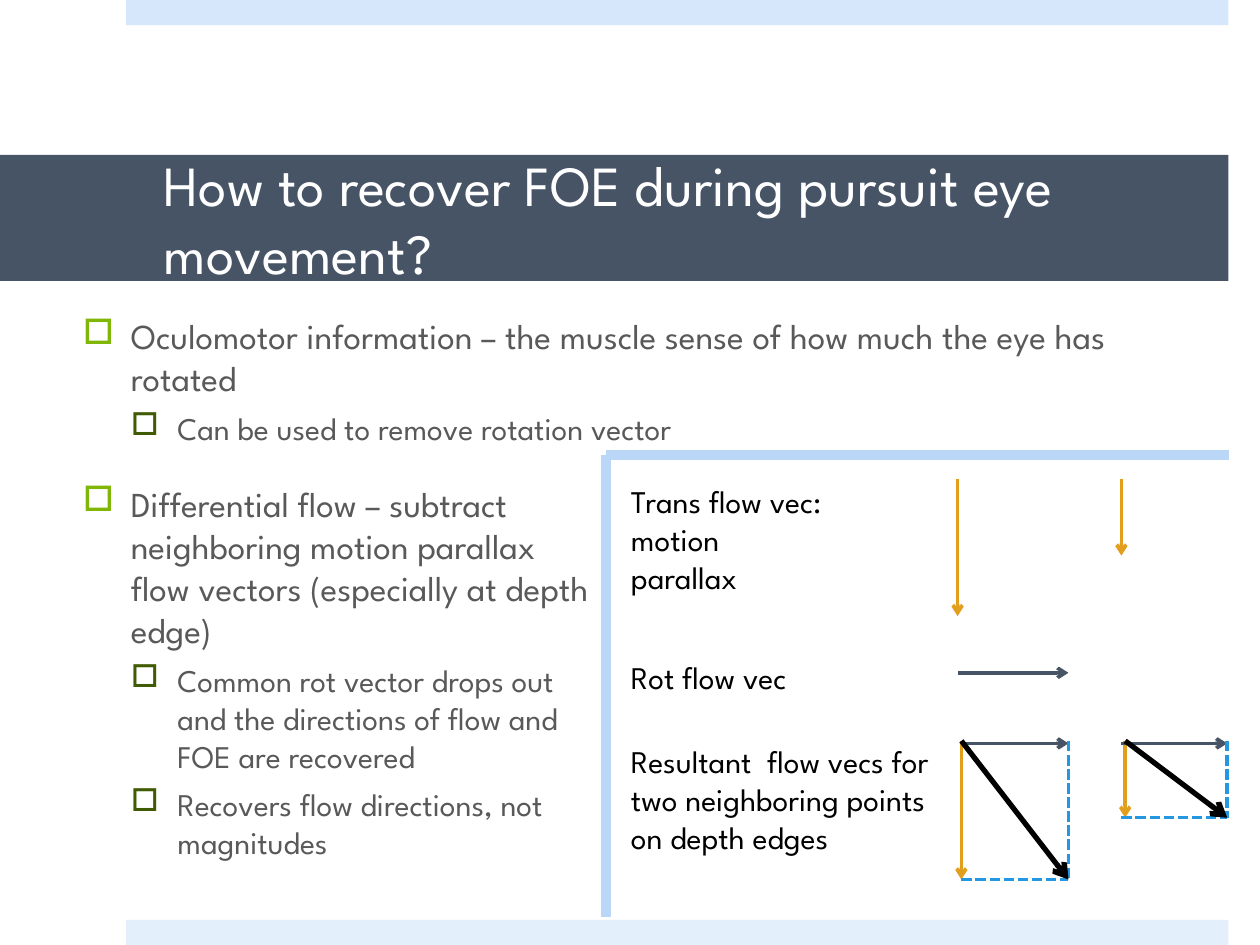
"""Build the slide on recovering the FOE during pursuit eye movement."""
from dataclasses import dataclass
from typing import Optional

import pptx
import pptx.dml.color
import pptx.enum.dml
import pptx.enum.shapes
import pptx.enum.text
import pptx.oxml
import pptx.oxml.ns
import pptx.util
from pptx.util import Inches

COLORS = {
    "top band": "D6E7FB", "bottom band": "E4EFFC", "title band": "465466",
    "title": "FFFFFF", "body": "595959", "label": "000000",
    "bullet 0": "80B606", "bullet 1": "405B03", "translation": "E29F1D",
    "rotation": "465466", "resultant": "000000", "guide": "2397E2", "frame": "BBD7F8",
}
FONT = "League Spartan"


@dataclass
class Box:
    left: float
    top: float
    width: float
    height: float

    def lengths(self) -> tuple:
        return tuple(Inches(v) for v in (self.left, self.top, self.width, self.height))


@dataclass
class Point:
    text: str
    level: int = 0


@dataclass
class Level:
    indent: float
    hanging: float
    size: float
    before: float


@dataclass
class Stroke:
    color: str
    width: float = 2
    arrow: bool = True
    dash: Optional[pptx.enum.dml.MSO_LINE] = None


@dataclass
class FlowSum:
    left: float
    base_left: float
    right: float
    bottom: float


LEVELS = [Level(0.38, -0.38, 20, 20), Level(0.75, -0.37, 18, 6)]
STROKES = {
    "translation": Stroke("translation"),
    "rotation": Stroke("rotation"),
    "resultant": Stroke("resultant", 3),
    "guide": Stroke("guide", arrow=False, dash=pptx.enum.dml.MSO_LINE.SQUARE_DOT),
    "frame": Stroke("frame", 6, arrow=False),
}
BANDS = {"top band": Box(1, 0, 8.75, 0.2), "bottom band": Box(1, 7.3, 8.75, 0.2)}
BODY = [
    (Box(0.56, 2.45, 8.32, 1.48), [
        Point("Oculomotor information – the muscle sense of how much the eye has rotated"),
        Point("Can be used to remove rotation vector", 1),
    ]),
    (Box(0.56, 3.78, 4.25, 3.72), [
        Point("Differential flow – subtract neighboring motion parallax flow vectors "
              "(especially at depth edge)"),
        Point("Common rot vector drops out and the directions of flow and FOE are recovered", 1),
        Point("Recovers flow directions, not magnitudes", 1),
    ]),
]
LABELS = [
    (Box(4.91, 3.78, 1.73, 1.01), "Trans flow vec: motion parallax"),
    (Box(4.91, 5.17, 2.17, 0.4), "Rot flow vec"),
    (Box(4.91, 5.84, 2.6, 1.31), "Resultant  flow vecs for two neighboring points on depth edges"),
]
SINGLE_LINES = [
    ("translation", 7.6, 3.8, 7.6, 4.89),
    ("translation", 8.9, 3.8, 8.9, 4.41),
    ("rotation", 7.6, 5.34, 8.48, 5.34),
    ("frame", 4.81, 3.61, 9.75, 3.61),
    ("frame", 4.81, 3.61, 4.81, 7.28),
]
FLOW_SUMS = [FlowSum(7.63, 7.63, 8.48, 6.98), FlowSum(8.93, 8.9, 9.74, 6.49)]
SUM_TOP, ROTATION_TOP = 5.88, 5.9


def rgb(name: str) -> pptx.dml.color.RGBColor:
    return pptx.dml.color.RGBColor.from_string(COLORS[name])


def append_xml(parent, tag: str, **attributes: str):
    child = pptx.oxml.ns.qn(tag)
    element = parent.makeelement(child, attributes)
    parent.append(element)
    return element


def apply(target, values: dict) -> None:
    for attribute, value in values.items():
        setattr(target, attribute, value)


def write(paragraph, text: str, size: float, color: str) -> None:
    run = paragraph.add_run()
    run.text = text
    apply(run.font, {"name": FONT, "size": pptx.util.Pt(size)})
    run.font.color.rgb = rgb(color)


def draw_band(slide, name: str, box: Box) -> None:
    band = slide.shapes.add_shape(pptx.enum.shapes.MSO_SHAPE.RECTANGLE, *box.lengths())
    band.shadow.inherit = False
    band.fill.solid()
    band.fill.fore_color.rgb = rgb(name)
    band.line.fill.background()


def draw_title(slide, box: Box, text: str) -> None:
    title = slide.shapes.title
    apply(title, dict(zip(("left", "top", "width", "height"), box.lengths())))
    title.fill.solid()
    title.fill.fore_color.rgb = rgb("title band")
    apply(title.text_frame, {
        "margin_left": Inches(1.3), "margin_right": Inches(0.3),
        "margin_top": Inches(0.05), "margin_bottom": Inches(0.05), "word_wrap": True,
        "auto_size": pptx.enum.text.MSO_AUTO_SIZE.NONE,
        "vertical_anchor": pptx.enum.text.MSO_ANCHOR.MIDDLE,
    })
    heading = title.text_frame.paragraphs[0]
    heading.alignment = pptx.enum.text.PP_ALIGN.LEFT
    write(heading, text, 32.4, "title")


def add_text_frame(slide, box: Box):
    frame = slide.shapes.add_textbox(*box.lengths()).text_frame
    frame.word_wrap = True
    return frame


def draw_points(slide, box: Box, points: list[Point]) -> None:
    frame = add_text_frame(slide, box)
    for index, point in enumerate(points):
        paragraph = frame.add_paragraph() if index else frame.paragraphs[0]
        level = LEVELS[point.level]
        apply(paragraph, {"level": point.level, "space_before": pptx.util.Pt(level.before)})
        properties = paragraph._p.get_or_add_pPr()
        properties.set("marL", str(Inches(level.indent)))
        properties.set("indent", str(Inches(level.hanging)))
        bullet_color = append_xml(properties, "a:buClr")
        append_xml(bullet_color, "a:srgbClr", val=COLORS[f"bullet {point.level}"])
        append_xml(properties, "a:buChar", char="□")
        write(paragraph, point.text, level.size, "body")


def draw_line(slide, kind: str, x1: float, y1: float, x2: float, y2: float) -> None:
    stroke = STROKES[kind]
    connector = slide.shapes.add_connector(
        pptx.enum.shapes.MSO_CONNECTOR.STRAIGHT, *(Inches(v) for v in (x1, y1, x2, y2)))
    connector.line.color.rgb = rgb(stroke.color)
    apply(connector.line, {"width": pptx.util.Pt(stroke.width), "dash_style": stroke.dash})
    if stroke.arrow:
        append_xml(connector.line._get_or_add_ln(), "a:tailEnd", type="arrow")
    append_xml(connector._element.spPr, "a:effectLst")


def draw_flow_sum(slide, flow: FlowSum) -> None:
    draw_line(slide, "translation", flow.left, SUM_TOP, flow.left, flow.bottom)
    draw_line(slide, "rotation", flow.base_left, ROTATION_TOP, flow.right, ROTATION_TOP)
    draw_line(slide, "guide", flow.base_left, flow.bottom, flow.right, flow.bottom)
    draw_line(slide, "guide", flow.right, SUM_TOP, flow.right, flow.bottom)
    draw_line(slide, "resultant", flow.left, SUM_TOP, flow.right, flow.bottom)


def main() -> None:
    deck = pptx.Presentation()
    apply(deck, {"slide_width": Inches(10), "slide_height": Inches(7.5)})
    slide = deck.slides.add_slide(deck.slide_layouts[5])
    for name, box in BANDS.items():
        draw_band(slide, name, box)
    draw_title(slide, Box(0, 1.23, 9.75, 1), "How to recover FOE during pursuit eye movement?")
    for box, points in BODY:
        draw_points(slide, box, points)
    for line in SINGLE_LINES:
        draw_line(slide, *line)
    for flow in FLOW_SUMS:
        draw_flow_sum(slide, flow)
    for box, text in LABELS:
        write(add_text_frame(slide, box).paragraphs[0], text, 18, "label")
    deck.save("out.pptx")


if __name__ == "__main__":
    main()
